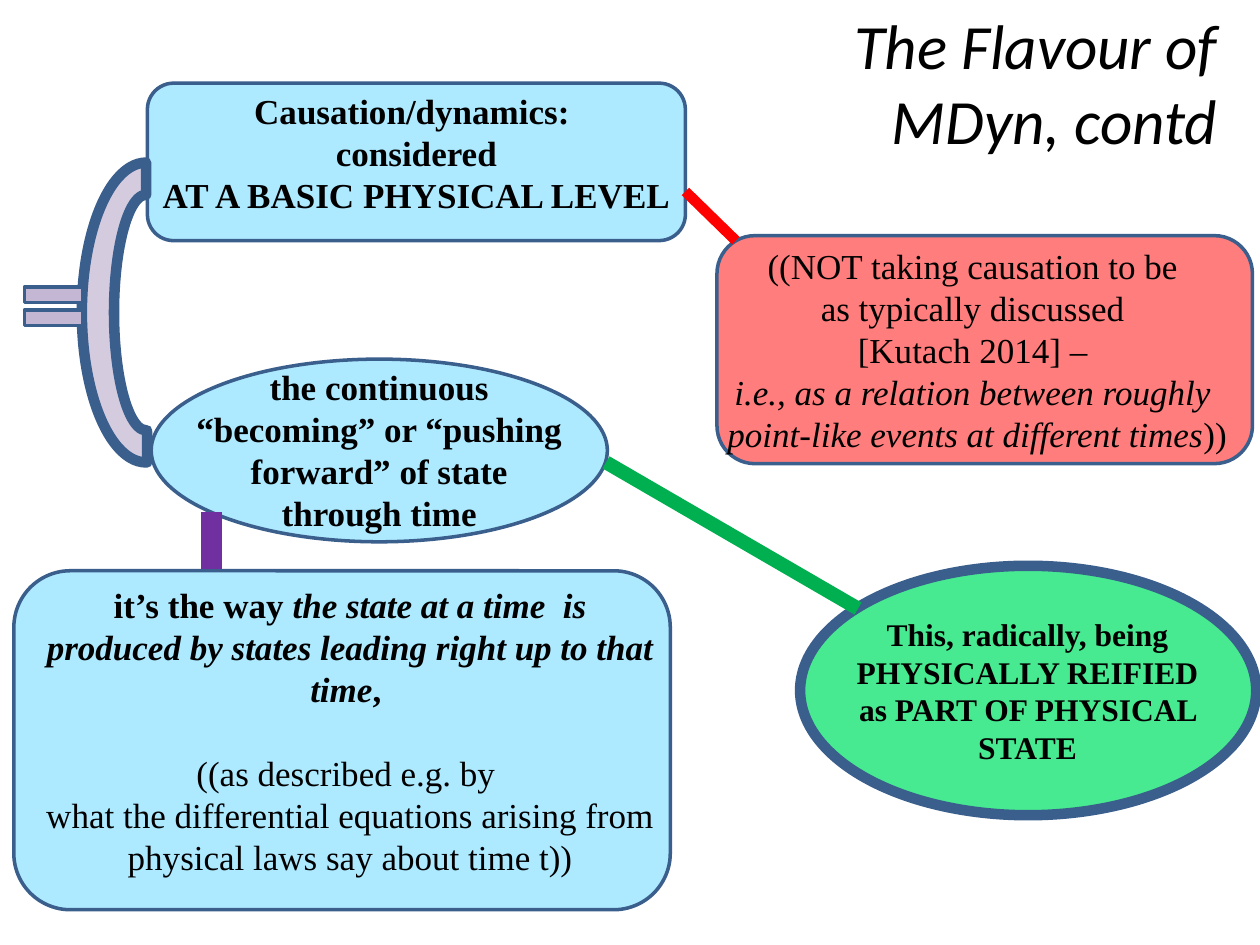
"""Build the slide on causation and dynamics at a basic physical level."""
import pptx
import pptx.dml.color
import pptx.enum.shapes
import pptx.enum.text
import pptx.oxml.ns
import pptx.oxml.xmlchemy
import pptx.util
from pptx.util import Inches

RGB = pptx.dml.color.RGBColor
KIND = pptx.enum.shapes.MSO_SHAPE
ALIGN = pptx.enum.text.PP_ALIGN
BLACK = RGB(0, 0, 0)
BLUE = RGB(0x8F, 0xE2, 0xFF)
LIME = RGB(0, 0xE2, 0x66)
ROSE = RGB(0xFF, 0x4B, 0x4B)
LILAC = RGB(0xC4, 0xB7, 0xD3)
EDGE = RGB(0x3A, 0x5F, 0x8C)
GREEN = RGB(0, 0xB0, 0x50)
RED = RGB(0xFF, 0, 0)
PURPLE = RGB(0x70, 0x30, 0xA0)

BASIC = (1.17, 0.66, 4.27, 1.25)
FLOW = (1.2, 2.85, 3.62, 1.45)

BACK = [
    (KIND.ROUNDED_RECTANGLE, (0.11, 4.53, 5.21, 2.69), BLUE, 2),
    (KIND.OVAL, (6.35, 4.49, 3.62, 1.98), LIME, 6),
    (KIND.ROUNDED_RECTANGLE, BASIC, BLUE, 2),
    (KIND.OVAL, FLOW, BLUE, 2),
    (KIND.ROUNDED_RECTANGLE, (5.69, 1.87, 4.25, 1.81), ROSE, 2),
]
TITLE = [[("The Flavour of", "i")], [(" MDyn, contd", "i")]]
REIFIED = [[("This, radically, being PHYSICALLY REIFIED as PART OF PHYSICAL STATE", "b")]]
CAUSE = [
    [("Causation/dynamics: ", "b")],
    [("considered", "b")],
    [("AT A BASIC PHYSICAL LEVEL", "b")],
]
BECOME = [[("the continuous “becoming” or “pushing forward” of state through time", "b")]]
NOT = [
    [("((NOT taking causation to be ", "")],
    [("as typically discussed ", "")],
    [("[Kutach 2014] – ", "")],
    [("i.e., as a relation between roughly ", "i")],
    [("point-like events at different times", "i"), ("))", "")],
]
WAY = [
    [
        ("it’s the way ", "b"),
        ("the state at a time  is produced by states leading right up to that time", "bi"),
        (", ", "b"),
    ],
    [("((as described e.g. by ", "")],
    [("what the differential equations arising from physical laws say about time t))", "")],
]
LINES = [
    ((4.81, 3.67), (6.81, 4.83), GREEN, 8),
    ((5.84, 1.91), (5.44, 1.52), RED, 6),
    ((1.68, 4.52), (1.68, 4.06), PURPLE, 12),
]

deck = pptx.Presentation()
deck.slide_width, deck.slide_height = Inches(10), Inches(7.5)
page = deck.slides.add_slide(deck.slide_layouts[6]).shapes


def add_shape(kind, box, fill, width, alpha=72):
    shape = page.add_shape(kind, *map(Inches, box))
    shape.shadow.inherit = False
    shape.fill.solid()
    shape.fill.fore_color.rgb = fill
    shape.line.color.rgb = EDGE
    shape.line.width = pptx.util.Pt(width)
    if alpha < 100:
        tint = shape._element.spPr.find(".//" + pptx.oxml.ns.qn("a:srgbClr"))
        node = pptx.oxml.xmlchemy.OxmlElement("a:alpha")
        node.set("val", str(alpha * 1000))
        tint.append(node)
    return shape


def add_text(paras, box, size=20, font="Times New Roman", align=ALIGN.CENTER, gaps=None, after=0):
    frame = page.add_textbox(*map(Inches, box)).text_frame
    frame.word_wrap = True
    for n, runs in enumerate(paras):
        para = frame.add_paragraph() if n else frame.paragraphs[0]
        para.alignment = align
        para.space_before = pptx.util.Pt((gaps or {}).get(n, 0))
        para.space_after = pptx.util.Pt(after)
        for words, style in runs:
            run = para.add_run()
            run.text = words
            run.font.name = font
            run.font.size = pptx.util.Pt(size)
            run.font.color.rgb = BLACK
            run.font.bold = "b" in style
            run.font.italic = "i" in style


def add_line(start, end, color, width):
    line = page.add_connector(
        pptx.enum.shapes.MSO_CONNECTOR.STRAIGHT, *map(Inches, start + end)
    )
    line.line.color.rgb = color
    line.line.width = pptx.util.Pt(width)
    line._element.spPr.append(pptx.oxml.xmlchemy.OxmlElement("a:effectLst"))


for item in BACK:
    add_shape(*item)

arc = add_shape(KIND.BLOCK_ARC, (-0.03, 1.97, 2.38, 1.02), LILAC, 6)
arc.rotation = 270
for n, value in enumerate((107.76, 0, 0.25)):
    arc.adjustments[n] = value
add_shape(KIND.MATH_EQUAL, (0.11, 2.17, 0.63, 0.52), LILAC, 2, alpha=100)

add_text(TITLE, (5.76, 0, 4, 1.22), size=36, font="Calibri", align=ALIGN.RIGHT)
add_text(REIFIED, (6.57, 4.83, 3.17, 1.31), size=18, after=5)
add_text(CAUSE, BASIC)
add_text(BECOME, (1.38, 2.85, 3.26, 1.45))
add_text(NOT, (5.59, 1.89, 4.33, 1.78))
add_text(WAY, (0.25, 4.58, 5.06, 2.46), gaps={1: 24})

for item in LINES:
    add_line(*item)

deck.save("out.pptx")
